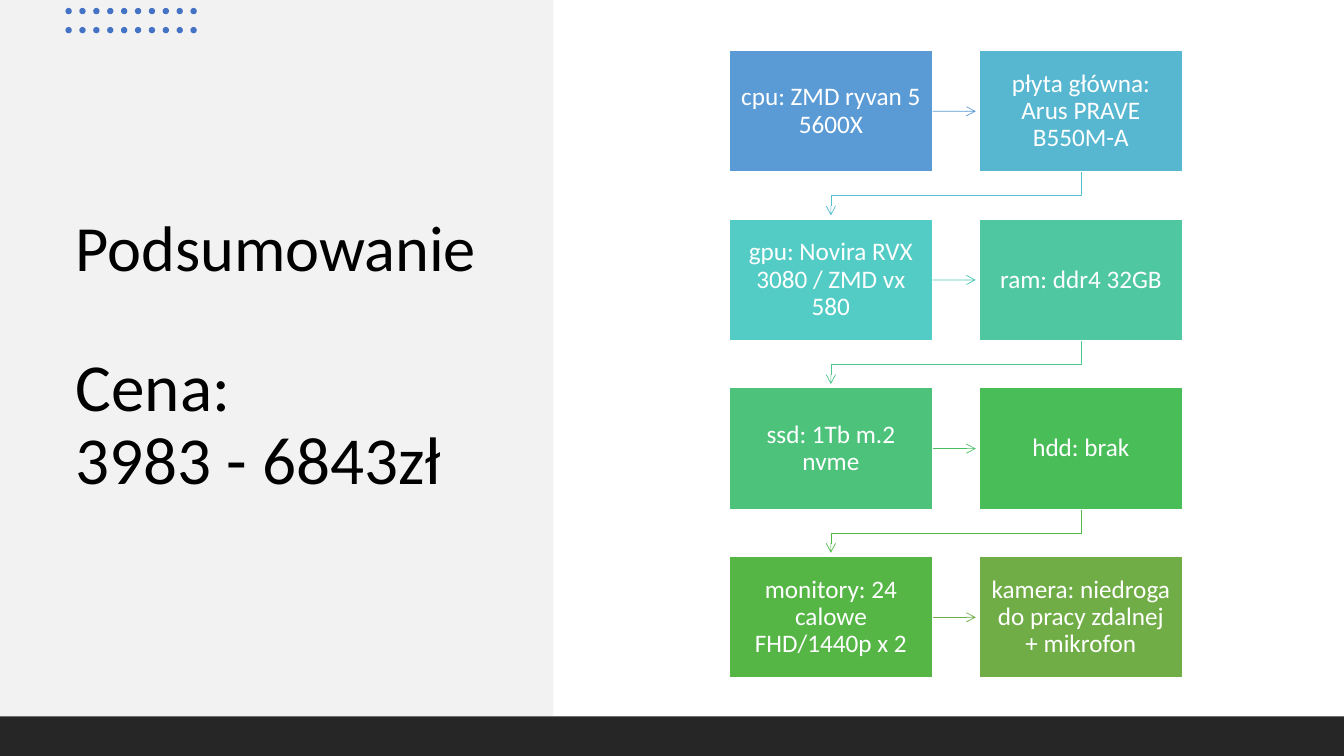
"""Build the summary slide with a snaking flow of computer parts."""
from dataclasses import dataclass

from lxml import etree
from pptx import Presentation
from pptx.dml.color import RGBColor
from pptx.enum.shapes import MSO_CONNECTOR, MSO_SHAPE
from pptx.enum.text import MSO_ANCHOR, MSO_AUTO_SIZE, PP_ALIGN
from pptx.oxml.ns import qn
from pptx.util import Cm, Pt

RECTANGLE = MSO_SHAPE.RECTANGLE
OVAL = MSO_SHAPE.OVAL
STRAIGHT = MSO_CONNECTOR.STRAIGHT
MIDDLE = MSO_ANCHOR.MIDDLE
LEFT = PP_ALIGN.LEFT
CENTER = PP_ALIGN.CENTER
RIGHT_SIDE = 3

FONT = "Calibri"
WHITE = "FFFFFF"
BLACK = "000000"
SLIDE_WIDTH, SLIDE_HEIGHT = 33.87, 19.05
PANEL_WIDTH, FOOTER_TOP = 13.95, 18.05
BOX_LEFT, BOX_TOP = 18.38, 1.27
BOX_WIDTH, BOX_HEIGHT = 5.12, 3.07
COLUMN_STEP, ROW_STEP = 6.3, 4.25
COLUMNS = 2
ARROW_LENGTH = 1.09
ELBOW_DROP, ELBOW_HEIGHT = 0.59, 1.09
DOT_LEFT, DOT_TOP, DOT_SIZE = 1.65, 0.2, 0.16
DOT_COLUMNS, DOT_ROWS = 10, 2
DOT_COLUMN_STEP, DOT_ROW_STEP = 0.35, 0.48


@dataclass(frozen=True)
class Part:
    """A computer part, with the colour of the arrow to the next one."""

    label: str
    fill: str
    arrow: str = ""


@dataclass(frozen=True)
class TitleLine:
    """A line of the title, with its size and the space before it."""

    label: str
    size: int
    space_before: int = 0


PARTS = [
    Part("cpu: ZMD ryvan 5 5600X", "5B9BD5", "5B9BD5"),
    Part("płyta główna: Arus PRAVE B550M-A", "57B7D1", "56BCD0"),
    Part("gpu: Novira RVX 3080 / ZMD vx 580", "53CCC5", "52CAB8"),
    Part("ram: ddr4 32GB", "4FC7A0", "4DC58D"),
    Part("ssd: 1Tb m.2 nvme", "4CC27B", "49BF64"),
    Part("hdd: brak", "48BD58", "50B846"),
    Part("monitory: 24 calowe FHD/1440p x 2", "55B646", "70AD47"),
    Part("kamera: niedroga do pracy zdalnej + mikrofon", "70AD47"),
]
TITLE_LINES = [
    TitleLine("Podsumowanie", 46),
    TitleLine("Cena:", 48, 49),
    TitleLine("3983 - 6843zł", 48),
]


def colour(code: str) -> RGBColor:
    """Turn a hex string into a colour."""
    return RGBColor.from_string(code)


def add_filled(page, kind, left: float, top: float, width: float, height: float, fill: str):
    """Add a flat shape without an outline."""
    shape = page.shapes.add_shape(kind, Cm(left), Cm(top), Cm(width), Cm(height))
    shape.shadow.inherit = False
    shape.fill.solid()
    shape.fill.fore_color.rgb = colour(fill)
    shape.line.fill.background()
    return shape


def write_line(para, label: str, size: int, code: str, align) -> None:
    """Write one run into a paragraph and format it."""
    para.alignment = align
    para.line_spacing = 0.9
    span = para.add_run()
    span.text = label
    span.font.name = FONT
    span.font.size = Pt(size)
    span.font.color.rgb = colour(code)


def add_title(page) -> None:
    """Place the title over the grey side panel."""
    title = page.shapes.title
    title.left, title.top, title.width, title.height = Cm(1.65), Cm(3.35), Cm(10.77), Cm(11.3)
    frame = title.text_frame
    frame.auto_size = MSO_AUTO_SIZE.NONE
    frame.word_wrap = True
    frame.vertical_anchor = MIDDLE
    for index, line in enumerate(TITLE_LINES):
        para = frame.add_paragraph() if index else frame.paragraphs[0]
        write_line(para, line.label, line.size, BLACK, LEFT)
        if line.space_before:
            para.space_before = Pt(line.space_before)
    panel = add_filled(page, RECTANGLE, 0, 0, PANEL_WIDTH, FOOTER_TOP, "F2F2F2")
    title._element.addprevious(panel._element)


def add_dots(page) -> None:
    """Draw the dotted pattern in the top corner."""
    for row in range(DOT_ROWS):
        for column in range(DOT_COLUMNS):
            left = DOT_LEFT + column * DOT_COLUMN_STEP
            top = DOT_TOP + row * DOT_ROW_STEP
            add_filled(page, OVAL, left, top, DOT_SIZE, DOT_SIZE, "4472C4")


def add_box(page, part: Part, left: float, top: float):
    """Add the labelled box of one part."""
    box = add_filled(page, RECTANGLE, left, top, BOX_WIDTH, BOX_HEIGHT, part.fill)
    box.line.color.rgb = colour(WHITE)
    box.line.width = Pt(1)
    frame = box.text_frame
    frame.word_wrap = True
    frame.vertical_anchor = MIDDLE
    frame.margin_left = frame.margin_right = Cm(0.25)
    frame.margin_top = frame.margin_bottom = Cm(0.25)
    write_line(frame.paragraphs[0], part.label, 18, WHITE, CENTER)
    return box


def style_arrow(arrow, code: str) -> None:
    """Give a line its colour, width and open arrowhead, without a shadow."""
    arrow.line.color.rgb = colour(code)
    arrow.line.width = Pt(0.5)
    properties = arrow._element.spPr
    outline = properties.find(qn("a:ln"))
    etree.SubElement(outline, qn("a:tailEnd"), type="arrow")
    if properties.find(qn("a:effectLst")) is None:
        etree.SubElement(properties, qn("a:effectLst"))


def add_straight_arrow(page, box, left: float, top: float, code: str) -> None:
    """Point from a box to its right neighbour."""
    start, level = left + BOX_WIDTH, top + BOX_HEIGHT / 2
    arrow = page.shapes.add_connector(
        STRAIGHT, Cm(start), Cm(level), Cm(start + ARROW_LENGTH), Cm(level))
    arrow.begin_connect(box, RIGHT_SIDE)
    style_arrow(arrow, code)


def add_elbow_arrow(page, left: float, top: float, code: str) -> None:
    """Point from the last box of a row to the first of the next row."""
    start, level = left + BOX_WIDTH / 2, top + BOX_HEIGHT
    end = start - COLUMN_STEP
    corner = level + ELBOW_DROP
    builder = page.shapes.build_freeform(Cm(start), Cm(level))
    corners = [(start, corner), (end, corner), (end, level + ELBOW_HEIGHT)]
    builder.add_line_segments([(Cm(x), Cm(y)) for x, y in corners], close=False)
    arrow = builder.convert_to_shape()
    arrow.fill.background()
    style_arrow(arrow, code)


def add_flow(page) -> None:
    """Lay the parts out in rows and link each to the next."""
    for index, part in enumerate(PARTS):
        row, column = divmod(index, COLUMNS)
        left = BOX_LEFT + column * COLUMN_STEP
        top = BOX_TOP + row * ROW_STEP
        box = add_box(page, part, left, top)
        if not part.arrow:
            continue
        if column < COLUMNS - 1:
            add_straight_arrow(page, box, left, top, part.arrow)
        else:
            add_elbow_arrow(page, left, top, part.arrow)


def main() -> None:
    """Build and save the deck."""
    deck = Presentation()
    deck.slide_width, deck.slide_height = Cm(SLIDE_WIDTH), Cm(SLIDE_HEIGHT)
    page = deck.slides.add_slide(deck.slide_layouts.get_by_name("Title Only"))
    add_title(page)
    add_dots(page)
    add_filled(page, RECTANGLE, 0, FOOTER_TOP, SLIDE_WIDTH, SLIDE_HEIGHT - FOOTER_TOP, "262626")
    add_flow(page)
    deck.save("out.pptx")


if __name__ == "__main__":
    main()
